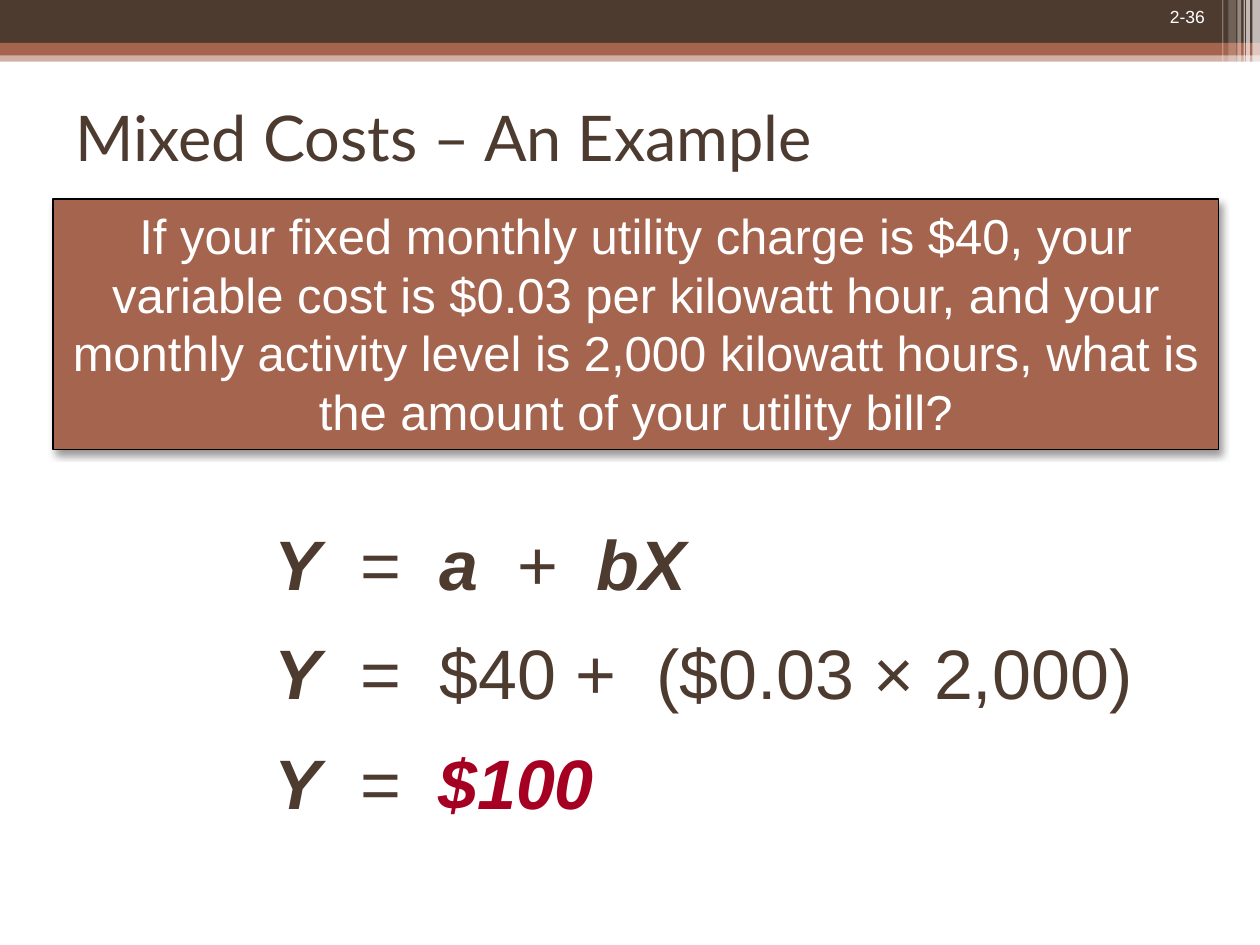
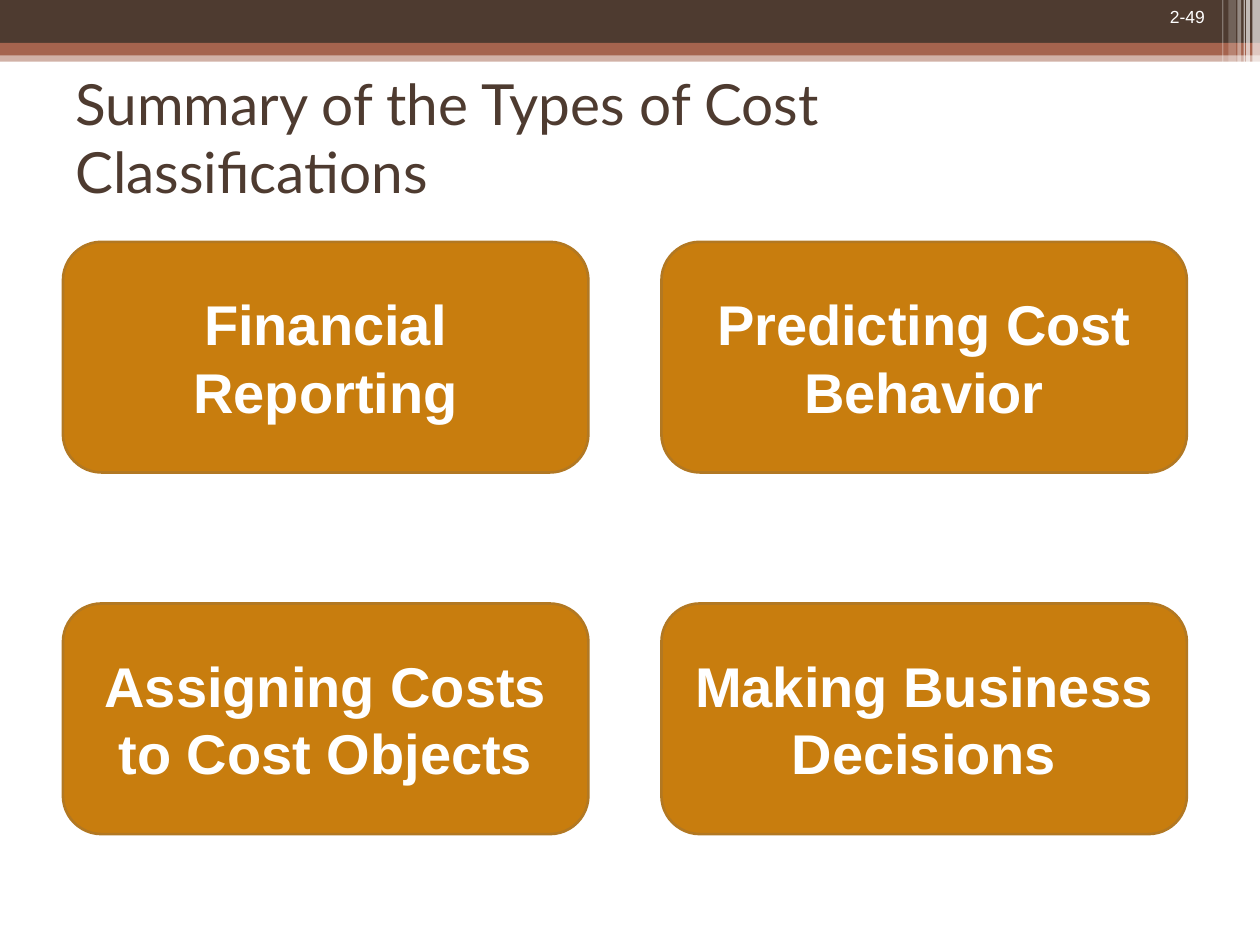
from lxml import etree
from pptx import Presentation
from pptx import util as u
from pptx.dml.color import RGBColor
from pptx.enum import shapes, text
from pptx.oxml import ns

BROWN = RGBColor(0x4E, 0x3B, 0x30)
RUST = RGBColor(0xA5, 0x64, 0x4E)
OCHRE = RGBColor(0xC8, 0x7D, 0x0E)
OCHRE_EDGE = RGBColor(0xB2, 0x78, 0x22)
CRIMSON = RGBColor(0xA5, 0x00, 0x21)
WHITE = RGBColor(0xFF, 0xFF, 0xFF)
BLACK = RGBColor(0, 0, 0)

RECT = shapes.MSO_SHAPE.RECTANGLE
ROUND = shapes.MSO_SHAPE.ROUNDED_RECTANGLE
LEFT, CENTER, RIGHT = (text.PP_ALIGN.LEFT, text.PP_ALIGN.CENTER,
                       text.PP_ALIGN.RIGHT)
TOP, MIDDLE = text.MSO_ANCHOR.TOP, text.MSO_ANCHOR.MIDDLE

LINE_HEIGHT = 1.2
TERM = {"bold": True, "italic": True}
PLAIN = {"bold": False, "italic": False}

# Light vertical strips at the right end of the bands: left, width, height, opacity
STRIPS = [(9.94, 0.06, 0.68, 65), (9.89, 0.03, 0.68, 65),
          (9.87, 0.01, 0.68, 60), (9.82, 0.03, 0.68, 40),
          (9.75, 0.06, 0.64, 20), (9.7, 0.01, 0.64, 30)]


def add_child(parent, tag, **attrs):
    return etree.SubElement(parent, ns.qn(tag),
                            {k: str(v) for k, v in attrs.items()})


def add_block(s, box, fill, kind=RECT, line=None, opacity=100):
    """Filled preset shape; line is (colour, points)."""
    sp = s.shapes.add_shape(kind, *map(u.Inches, box))
    sp.shadow.inherit = False
    sp.fill.solid()
    sp.fill.fore_color.rgb = fill
    if opacity < 100:
        color = sp.fill._xPr.find(".//" + ns.qn("a:srgbClr"))
        add_child(color, "a:alpha", val=opacity * 1000)
    if line:
        sp.line.color.rgb, sp.line.width = line[0], u.Pt(line[1])
    else:
        sp.line.fill.background()
    return sp


def add_textbox(s, box):
    return s.shapes.add_textbox(*map(u.Inches, box))


def add_shadow(sp, blur, dist, angle, opacity):
    effects = sp._element.spPr.find(ns.qn("a:effectLst"))
    shadow = add_child(effects, "a:outerShdw", blurRad=u.Pt(blur),
                       dist=u.Pt(dist), dir=angle * 60000,
                       algn="tl", rotWithShape=0)
    color = add_child(shadow, "a:srgbClr", val=BLACK)
    add_child(color, "a:alpha", val=opacity * 1000)


def set_text(sp, runs, size, color, align=LEFT, anchor=TOP, font="Arial",
             tabs=(), wrap=True):
    """Fill one paragraph; runs are (text, format values) pairs."""
    tf = sp.text_frame
    tf.word_wrap, tf.vertical_anchor = wrap, anchor
    p = tf.paragraphs[0]
    p.alignment = align
    p.line_spacing = u.Pt(size * LINE_HEIGHT)
    if tabs:
        stops = add_child(p._p.get_or_add_pPr(), "a:tabLst")
        for pos in tabs:
            add_child(stops, "a:tab", pos=u.Inches(pos), algn="l")
    for words, extra in runs:
        r = p.add_run()
        r.text = words
        r.font.color.rgb = color
        for name, value in {"name": font, "size": u.Pt(size), **extra}.items():
            setattr(r.font, name, value)


def add_base(prs, title, number, title_size):
    """Blank slide with bands, strips, slide number and title."""
    s = prs.slides.add_slide(prs.slide_layouts[6])
    add_block(s, (0, 0.4, 10, 0.09), RUST, opacity=50)
    add_block(s, (0, 0, 10, 0.34), BROWN)
    add_block(s, (0, 0.34, 10, 0.1), RUST)
    for left, width, height, opacity in STRIPS:
        add_block(s, (left, 0, width, height), WHITE, opacity=opacity)
    set_text(add_textbox(s, (8.58, 0, 1.08, 0.27)), [(number, {})], 10, WHITE,
             align=RIGHT)
    sp = add_textbox(s, (0.5, 0.5, 9, 1.17))
    sp.text_frame.margin_right = u.Inches(0.2)
    set_text(sp, [(title, {})], title_size, BROWN, anchor=MIDDLE, font="Lato")
    return s


def add_callout(s, words):
    sp = add_block(s, (0.42, 1.58, 9.25, 1.99), RUST, line=(BLACK, 0.75))
    add_shadow(sp, blur=4, dist=3, angle=45, opacity=40)
    set_text(sp, [(words, {})], 28, WHITE, align=CENTER)


def add_equations(s):
    # Each row: box width, runs, tab stops that line up the terms
    rows = [
        (3.67, [("Y\t", TERM), ("=\t", PLAIN), ("a\t", TERM), ("+\t", PLAIN),
                ("bX", TERM)], (0.68, 1.31, 1.93, 2.56)),
        (7.33, [("Y\t", TERM), ("=\t$40 +\t($0.03 × 2,000)", PLAIN)],
         (0.68, 1.31, 3.03)),
        (3.67, [("Y\t", TERM), ("=", PLAIN)], (0.68,)),
    ]
    for i, (width, runs, tabs) in enumerate(rows):
        top = 4.08 + i * 0.87
        sp = add_block(s, (2.08, top, width, 0.77), WHITE)
        set_text(sp, runs, 40, BROWN, tabs=tabs)
    answer = add_block(s, (3.38, top, 1.44, 0.77), WHITE)
    set_text(answer, [("$100", TERM)], 40, CRIMSON, wrap=False)


def add_cards(s, labels):
    for i, label in enumerate(labels):
        row, col = divmod(i, 2)
        box = (0.5 + col * 4.75, 1.92 + row * 2.87, 4.17, 1.83)
        sp = add_block(s, box, OCHRE, ROUND, line=(OCHRE_EDGE, 1.5))
        set_text(sp, [(label, {"bold": True})], 32, WHITE, CENTER, MIDDLE)


def main():
    prs = Presentation()
    prs.slide_width, prs.slide_height = u.Inches(10), u.Inches(7.5)

    # Worked example
    s = add_base(prs, "Mixed Costs – An Example", "2-36", 36)
    add_callout(s, "If your fixed monthly utility charge is $40, your variable "
                   "cost is $0.03 per kilowatt hour, and your monthly activity "
                   "level is 2,000 kilowatt hours, what is the amount of your "
                   "utility bill?")
    add_equations(s)

    # Summary grid
    s = add_base(prs, "Summary of the Types of Cost Classifications", "2-49",
                 32.4)
    add_cards(s, ["Financial Reporting", "Predicting Cost Behavior",
                  "Assigning Costs to Cost Objects",
                  "Making Business Decisions"])

    prs.save("out.pptx")


if __name__ == "__main__":
    main()
